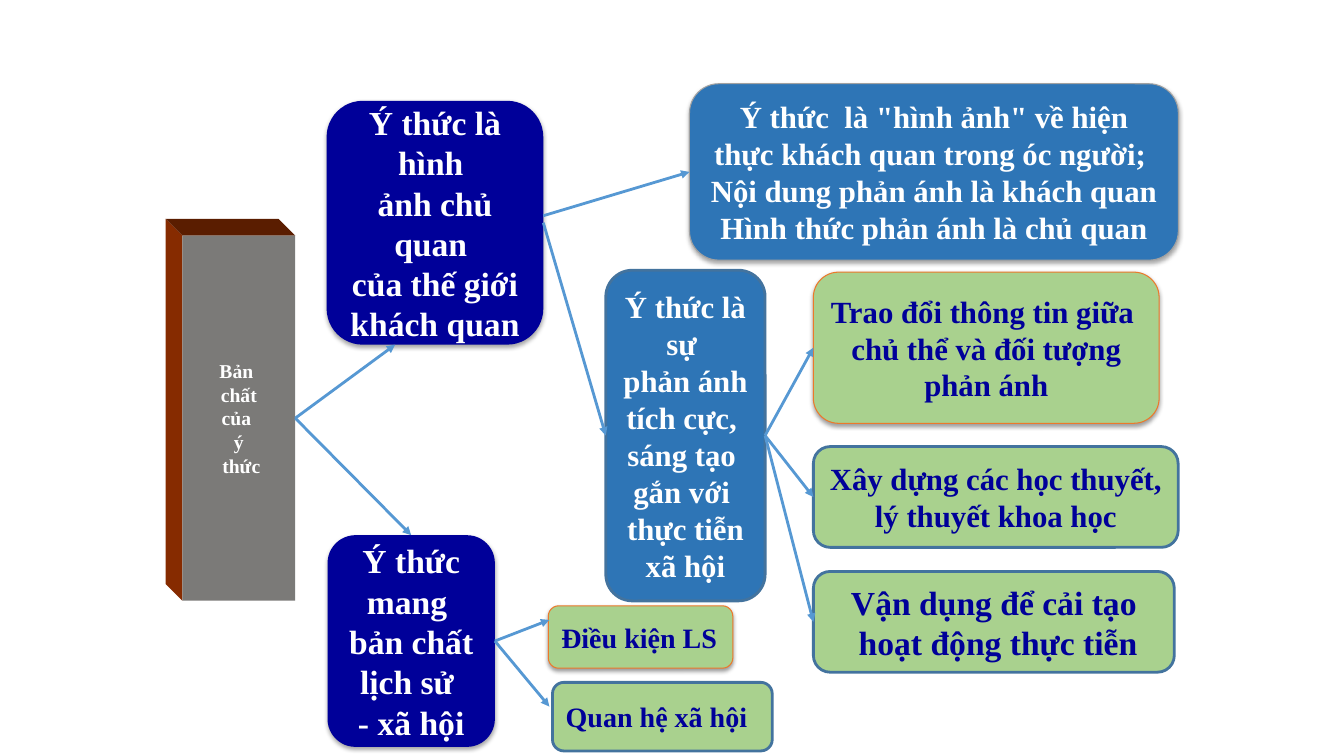
from lxml import etree
from pptx import Presentation
from pptx.enum.shapes import MSO_CONNECTOR, MSO_SHAPE
from pptx.enum.text import MSO_ANCHOR, PP_ALIGN
from pptx.dml.color import RGBColor
from pptx.oxml.ns import qn
from pptx.util import Pt

RECT, ROUND = MSO_SHAPE.RECTANGLE, MSO_SHAPE.ROUNDED_RECTANGLE
LINE = MSO_CONNECTOR.STRAIGHT
MIDDLE = MSO_ANCHOR.MIDDLE
CENTER, LEFT = PP_ALIGN.CENTER, PP_ALIGN.LEFT
TOP, WEST, EAST = 0, 1, 3
FONT = "Times New Roman"
HEX = {
    "white": "FFFFFF", "navy": "000099", "blue": "2E75B6", "green": "A9D18E",
    "steel": "43739E", "orange": "EC792B", "silver": "A1A1A1",
    "arrow": "5698D3", "front": "7B7A78", "side": "862B00", "lid": "5A1D00",
    "black": "000000",
}
# Style: fill, text colour, line colour, line width, shadow opacity, shadow offset
STYLES = {
    "main": ("navy", "white", None, 0, 35, 1.8),
    "image": ("blue", "white", "silver", 0.75, 35, 1.8),
    "active": ("blue", "white", "steel", 2, 0, 0),
    "soft": ("green", "navy", "orange", 0.75, 38, 1.6),
    "plain": ("green", "navy", "steel", 2, 0, 0),
}


def rgb(name):
    return RGBColor.from_string(HEX[name])


def paint(shape, fill, line=None, width=0):
    shape.shadow.inherit = False
    shape.fill.solid()
    shape.fill.fore_color.rgb = rgb(fill)
    if line:
        shape.line.color.rgb = rgb(line)
        shape.line.width = Pt(width)
    else:
        shape.line.fill.background()


def shade(shape, alpha, dist):
    """Soft shadow straight below the shape."""
    effects = shape._element.spPr.find(qn("a:effectLst"))
    outer = etree.SubElement(
        effects, qn("a:outerShdw"), blurRad=str(Pt(3.1)), dist=str(Pt(dist)),
        dir="5400000", algn="ctr", rotWithShape="0")
    color = etree.SubElement(outer, qn("a:srgbClr"), val=HEX["black"])
    etree.SubElement(color, qn("a:alpha"), val=str(alpha * 1000))


def write(shape, lines, size, color, align=CENTER, wrap=True):
    frame = shape.text_frame
    frame.word_wrap = wrap
    frame.vertical_anchor = MIDDLE
    for i, line in enumerate(lines):
        para = frame.add_paragraph() if i else frame.paragraphs[0]
        para.alignment = align
        run = para.add_run()
        run.text = line
        run.font.name = FONT
        run.font.size = Pt(size)
        run.font.bold = True
        run.font.color.rgb = rgb(color)


def node(slide, box, style, size, lines, align=CENTER):
    fill, ink, line, width, alpha, dist = STYLES[style]
    shape = slide.shapes.add_shape(ROUND, *map(Pt, box))
    paint(shape, fill, line, width)
    if alpha:
        shade(shape, alpha, dist)
    write(shape, lines, size, ink, align)
    return shape


def arrow(slide, start, end):
    """Each end is an (x, y) point or a (shape, site) pair to join."""
    free = [(0, 0) if hasattr(p[0], "shape_id") else p for p in (start, end)]
    link = slide.shapes.add_connector(LINE, *(Pt(v) for p in free for v in p))
    for p, join in ((start, link.begin_connect), (end, link.end_connect)):
        if hasattr(p[0], "shape_id"):
            join(*p)
    link.line.color.rgb = rgb("arrow")
    link.line.width = Pt(2)
    etree.SubElement(link.line._get_or_add_ln(), qn("a:tailEnd"), type="triangle")
    etree.SubElement(link._element.spPr, qn("a:effectLst"))


def face(slide, points, fill):
    start, *rest = [(Pt(x), Pt(y)) for x, y in points]
    path = slide.shapes.build_freeform(*start)
    path.add_line_segments(rest)
    paint(path.convert_to_shape(), fill)


def root(slide, box):
    """Solid block with its left and top faces."""
    x, y, w, h = box
    deep = 12
    face(slide, [(x, y), (x - deep, y - deep), (x - deep, y + h - deep),
                 (x, y + h)], "side")
    face(slide, [(x, y), (x - deep, y - deep), (x + w - deep, y - deep),
                 (x + w, y)], "lid")
    front = slide.shapes.add_shape(RECT, *map(Pt, box))
    paint(front, "front")
    write(front, ["Bản ", "chất", "của ", "ý", " thức"], 14, "white", wrap=False)
    return front


def upper(slide, box, trunk):
    """Subjective image branch."""
    x, y, w, h = box
    head = node(slide, (x, y + 12.2, 154.8, 174.2), "main", 24, [
        "Ý thức là hình ", "ảnh chủ quan ", "của thế giới", "khách quan"])
    image = node(slide, (x + 259.2, y, 349.2, 126), "image", 22, [
        "Ý thức  là \"hình ảnh\" về hiện thực khách quan trong óc người; ",
        "Nội dung phản ánh là khách quan", "Hình thức phản ánh là chủ quan"])
    active = node(slide, (x + 199.4, y + 133.2, 113.8, 236.2), "active", 22, [
        "Ý thức là sự ", "phản ánh ", "tích cực, ", "sáng tạo ", "gắn với ",
        "thực tiễn ", "xã hội"])
    leaves = [
        (134.6, 247, 108, "soft", 22,
         ["Trao đổi thông tin giữa ", "chủ thể và đối tượng phản ánh"]),
        (259.2, 260.6, 72, "plain", 22,
         ["Xây dựng các học thuyết,", "lý thuyết khoa học"]),
        (348.4, 257.8, 72, "plain", 24,
         ["Vận dụng để cải tạo", " hoạt động thực tiễn"]),
    ]
    for down, wide, high, style, size, lines in leaves:
        leaf = node(slide, (x + w - 260.6, y + down, wide, high), style, size, lines)
        arrow(slide, (active, EAST), (leaf, WEST))
    arrow(slide, (x + 154.8, y + 94.3), (image, WEST))
    arrow(slide, (head, EAST), (active, WEST))
    arrow(slide, (trunk, EAST), (x + 49, y + 186.4))


def lower(slide, box, trunk):
    """Historical and social branch."""
    x, y, w, h = box
    head = node(slide, (x, y, 119.5, 151.2), "main", 24, [
        "Ý thức mang ", "bản chất ", "lịch sử ", "- xã hội"])
    node(slide, (x + 157.7, y + 50.4, 131.8, 44.6), "soft", 20,
         ["Điều kiện LS"], LEFT)
    node(slide, (x + w - 157, y + h - 49, 157, 49), "plain", 20,
         ["Quan hệ xã hội"], LEFT)
    for down in (60.5, 122.4):
        arrow(slide, (head, EAST), (x + 158.4, y + down))
    arrow(slide, (trunk, EAST), (head, TOP))


def main():
    deck = Presentation()
    deck.slide_width, deck.slide_height = Pt(960), Pt(540)
    slide = deck.slides.add_slide(deck.slide_layouts[6])
    trunk = root(slide, (130.3, 168.3, 80.6, 260.8))
    upper(slide, (233.3, 59.8, 608.3, 420.4), trunk)
    lower(slide, (234, 382.3, 317.6, 154.1), trunk)
    deck.save("out.pptx")


if __name__ == "__main__":
    main()
